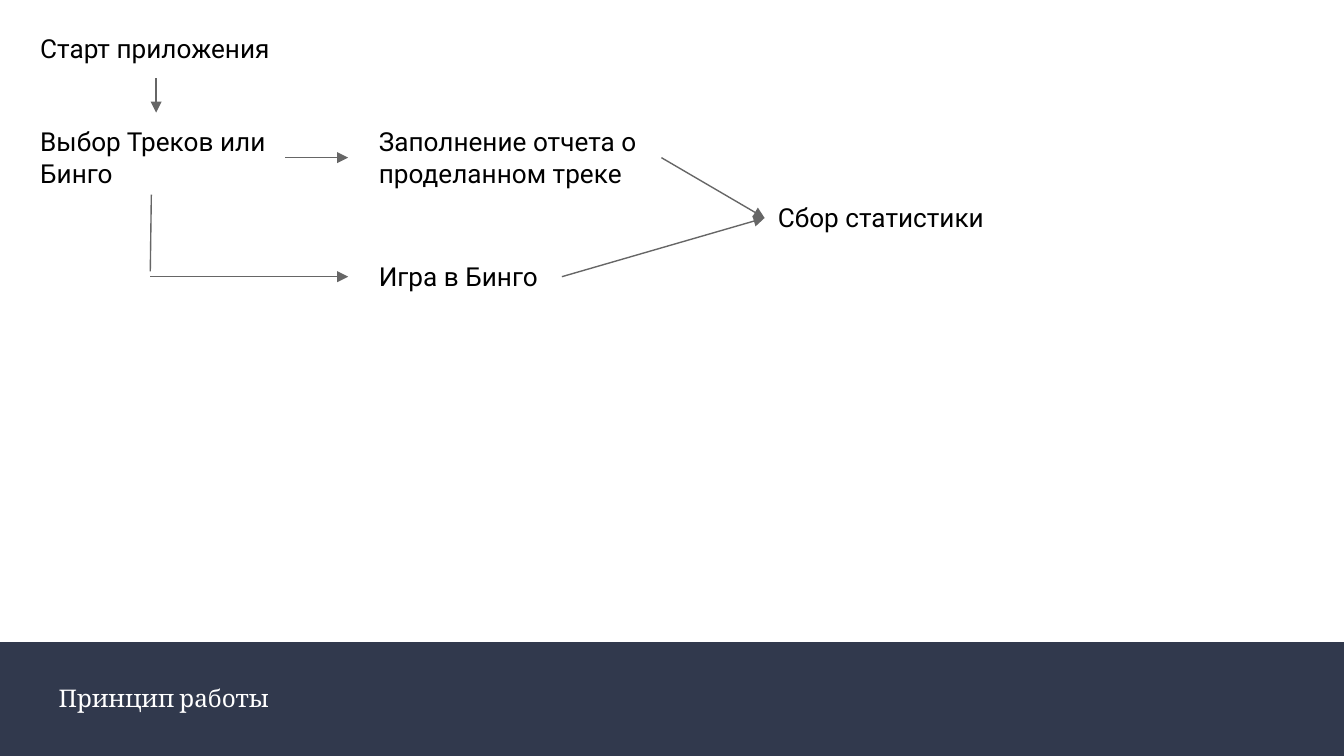
from dataclasses import dataclass

from pptx import Presentation
from pptx.dml.color import RGBColor as Rgb
from pptx.enum.shapes import MSO_CONNECTOR as Link, MSO_SHAPE as Form
from pptx.enum.text import MSO_ANCHOR as Anchor, MSO_AUTO_SIZE as Fit, PP_ALIGN as Align
from pptx.oxml.ns import qn
from pptx.util import Cm, Pt
from lxml.etree import SubElement as Sub

WIDE, HIGH = 25.4, 14.29


@dataclass(frozen=True)
class Theme:
    ink: str = "000000"
    paper: str = "FFFFFF"
    band: str = "31394D"
    line: str = "666666"
    body: str = "Roboto"
    head: str = "Cambria"
    body_size: float = 14
    head_size: float = 13
    weight: float = 0.75
    inset: float = 0.25


def write(frame, text, *, font, size, color, anchor=Anchor.TOP, fit=Fit.NONE, inset=0.25):
    frame.word_wrap = True
    frame.auto_size = fit
    frame.vertical_anchor = anchor
    frame.margin_left = frame.margin_right = Cm(inset)
    frame.margin_top = frame.margin_bottom = Cm(inset)
    par = frame.paragraphs[0]
    par.alignment = Align.LEFT
    run = par.add_run()
    run.text = text
    run.font.name = font
    run.font.size = Pt(size)
    run.font.color.rgb = Rgb.from_string(color)


class Board:
    """Draws on one slide in one style; all lengths are in centimetres."""

    def __init__(self, slide, theme):
        self.slide = slide
        self.theme = theme

    def band(self, top):
        """Fill the foot of the slide, behind everything else."""
        box = self.slide.shapes.add_shape(
            Form.RECTANGLE, 0, Cm(top), Cm(WIDE), Cm(HIGH - top))
        box.shadow.inherit = False
        box.fill.solid()
        box.fill.fore_color.rgb = Rgb.from_string(self.theme.band)
        box.line.fill.background()
        box.element.getparent().insert(2, box.element)

    def title(self, text, left, top, width, height):
        box = self.slide.shapes.title
        box.left, box.top, box.width, box.height = map(Cm, (left, top, width, height))
        look = self.theme
        write(box.text_frame, text, font=look.head, size=look.head_size,
              color=look.paper, anchor=Anchor.MIDDLE, inset=look.inset)

    def label(self, text, left, top, width, height):
        box = self.slide.shapes.add_textbox(*map(Cm, (left, top, width, height)))
        look = self.theme
        write(box.text_frame, text, font=look.body, size=look.body_size,
              color=look.ink, fit=Fit.SHAPE_TO_FIT_TEXT, inset=look.inset)

    def line(self, start, end, arrow=True):
        link = self.slide.shapes.add_connector(
            Link.STRAIGHT, *map(Cm, (*start, *end)))
        link.line.color.rgb = Rgb.from_string(self.theme.line)
        link.line.width = Pt(self.theme.weight)
        if arrow:
            Sub(link.line._get_or_add_ln(), qn("a:tailEnd"), type="triangle")
        Sub(link.element.spPr, qn("a:effectLst"))


def main():
    deck = Presentation()
    deck.slide_width, deck.slide_height = Cm(WIDE), Cm(HIGH)
    board = Board(deck.slides.add_slide(deck.slide_layouts[5]), Theme())

    board.band(12.14)
    board.title("Принцип работы", 0.86, 12.55, 22.17, 1.27)

    one, two = 1.12, 1.7  # heights of labels with one and two lines
    first, second, third = 0.51, 6.91, 14.45  # columns
    slim, broad = 4.88, 7.37
    start, choice, game, stats = 0.36, 2.13, 4.67, 3.56  # rows
    for label in (
        ("Старт приложения", first, start, slim, one),
        ("Выбор Треков или Бинго", first, choice, slim, two),
        ("Заполнение отчета о проделанном треке", second, choice, broad, two),
        ("Игра в Бинго", second, game, broad, one),
        ("Сбор статистики", third, stats, 7.01, one),
    ):
        board.label(*label)

    upper, lower = choice + two / 2, game + one / 2
    mid, bend, stop = first + slim / 2, 2.84, 6.58
    goal = (third, stats + one / 2)
    board.line((mid, start + one), (mid, choice))
    board.line((first + slim, upper), (stop, upper))
    board.line((bend + 0.02, 3.68), (bend, 5.13), arrow=False)
    board.line((bend, lower), (stop, lower))
    board.line((12.5, upper), goal)
    board.line((10.62, lower), goal)

    deck.save("out.pptx")


if __name__ == "__main__":
    main()
